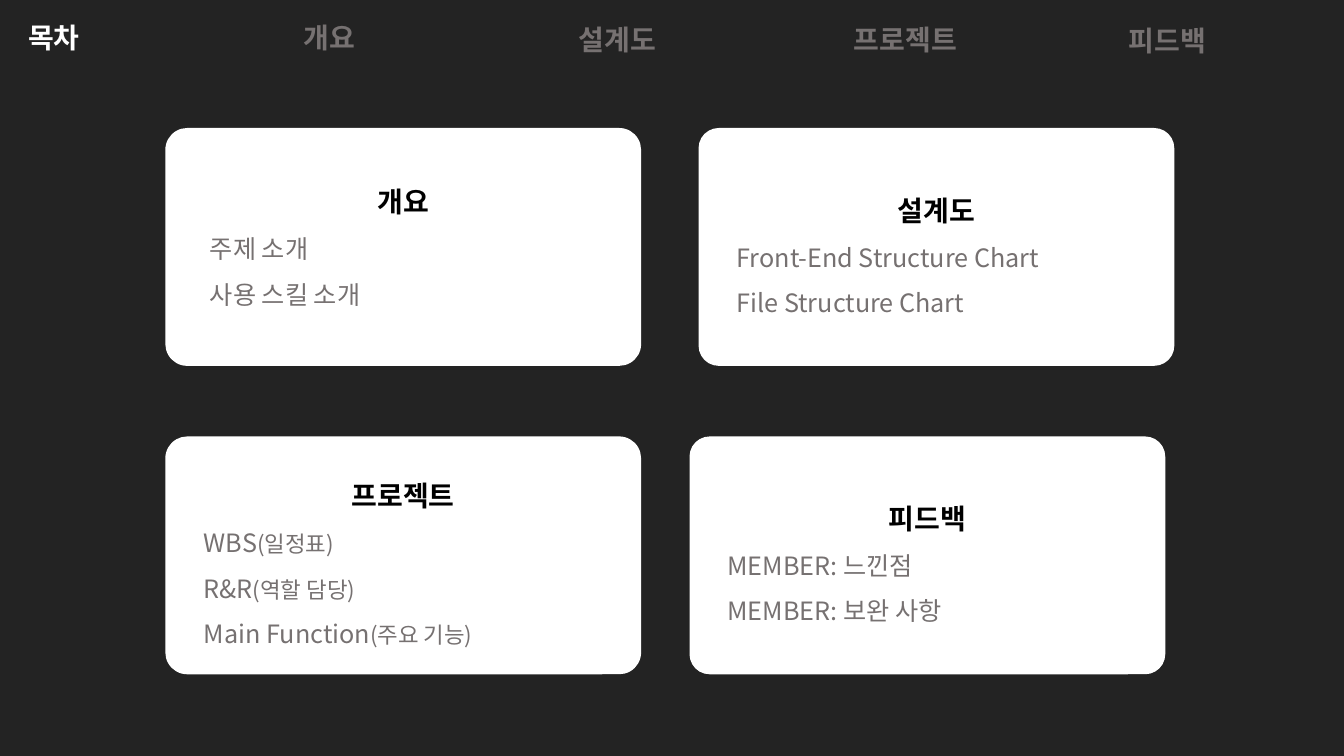
import pptx
import pptx.dml.color
import pptx.enum.shapes
import pptx.enum.text
import pptx.oxml.ns
import pptx.util
from lxml import etree

Inches, Pt = pptx.util.Inches, pptx.util.Pt
RGBColor = pptx.dml.color.RGBColor
ALIGN = pptx.enum.text.PP_ALIGN
ANCHOR = pptx.enum.text.MSO_ANCHOR

DARK = RGBColor(0x23, 0x23, 0x23)
WHITE = RGBColor(0xFF, 0xFF, 0xFF)
BLACK = RGBColor(0, 0, 0)
GRAY = RGBColor(0x76, 0x71, 0x71)

NAV_LEFT, NAV_PITCH = 0.18, 2.73
NAV = [("목차", 0.15), ("개요", 0.15), ("설계도", 0.17),
       ("프로젝트", 0.17), ("피드백", 0.18)]

CARDS = [
    (1.64, 1.27, 0.092, "개요", 1.0, 0.28,
     [("주제 소개",), ("사용 스킬 소개",)]),
    (6.93, 1.27, 0.085, "설계도", 1.5, 0.22,
     [("Front-End Structure Chart",), ("File Structure Chart",)]),
    (1.64, 4.33, 0.092, "프로젝트", 1.5, 0.22,
     [("WBS", "(일정표)"), ("R&R", "(역할 담당)"),
      ("Main Function", "(주요 기능)")]),
    (6.84, 4.33, 0.085, "피드백", 1.5, 0.22,
     [("MEMBER: 느낀점",), ("MEMBER: 보완 사항",)]),
]


class Deck:
    """Holds the contents slide and its dark card style."""

    font = "Noto Sans CJK KR"

    def __init__(self):
        self.prs = pptx.Presentation()
        self.prs.slide_width = Inches(13.333)
        self.prs.slide_height = Inches(7.5)
        self.slide = self.prs.slides.add_slide(self.prs.slide_layouts[5])
        self.slide.background.fill.solid()
        self.slide.background.fill.fore_color.rgb = DARK

    def style(self, p, size, color, bold=False, align=ALIGN.LEFT, spacing=1.0):
        p.alignment, p.line_spacing = align, spacing
        p.font.size, p.font.bold, p.font.name = Pt(size), bold, self.font
        p.font.color.rgb = color
        props = p._p.pPr.find(pptx.oxml.ns.qn("a:defRPr"))
        ea = etree.SubElement(props, pptx.oxml.ns.qn("a:ea"))
        ea.set("typeface", self.font)

    def label(self, sp, text, color):
        tf = sp.text_frame
        tf.word_wrap = True
        tf.auto_size = pptx.enum.text.MSO_AUTO_SIZE.NONE
        tf.vertical_anchor = ANCHOR.TOP
        tf.text = text
        self.style(tf.paragraphs[0], 20, color, bold=True)

    def nav(self, items):
        for i, (text, top) in enumerate(items):
            box = (Inches(NAV_LEFT + i * NAV_PITCH), Inches(top),
                   Inches(2.05), Inches(0.44))
            if i == 0:
                sp = self.slide.shapes.title
                sp.left, sp.top, sp.width, sp.height = box
            else:
                sp = self.slide.shapes.add_textbox(*box)
            self.label(sp, text, GRAY if i else WHITE)

    def card(self, left, top, radius, heading, spacing, indent, lines):
        sp = self.slide.shapes.add_shape(
            pptx.enum.shapes.MSO_SHAPE.ROUNDED_RECTANGLE,
            Inches(left), Inches(top), Inches(4.72), Inches(2.36))
        sp.adjustments[0] = radius
        sp.shadow.inherit = False
        sp.fill.solid()
        sp.fill.fore_color.rgb = WHITE
        sp.line.fill.background()
        tf = sp.text_frame
        tf.word_wrap = True
        tf.vertical_anchor = ANCHOR.MIDDLE
        p = tf.paragraphs[0]
        p.text = heading
        self.style(p, 20, BLACK, True, ALIGN.CENTER, spacing)
        for name, *notes in lines:
            p = tf.add_paragraph()
            p.add_run().text = name
            for note in notes:
                r = p.add_run()
                r.text = note
                r.font.size = Pt(16)
            self.style(p, 18, GRAY, spacing=1.5)
            p._p.pPr.set("marL", str(Inches(indent)))


def main():
    deck = Deck()
    deck.nav(NAV)
    for card in CARDS:
        deck.card(*card)
    deck.prs.save("out.pptx")


if __name__ == "__main__":
    main()
